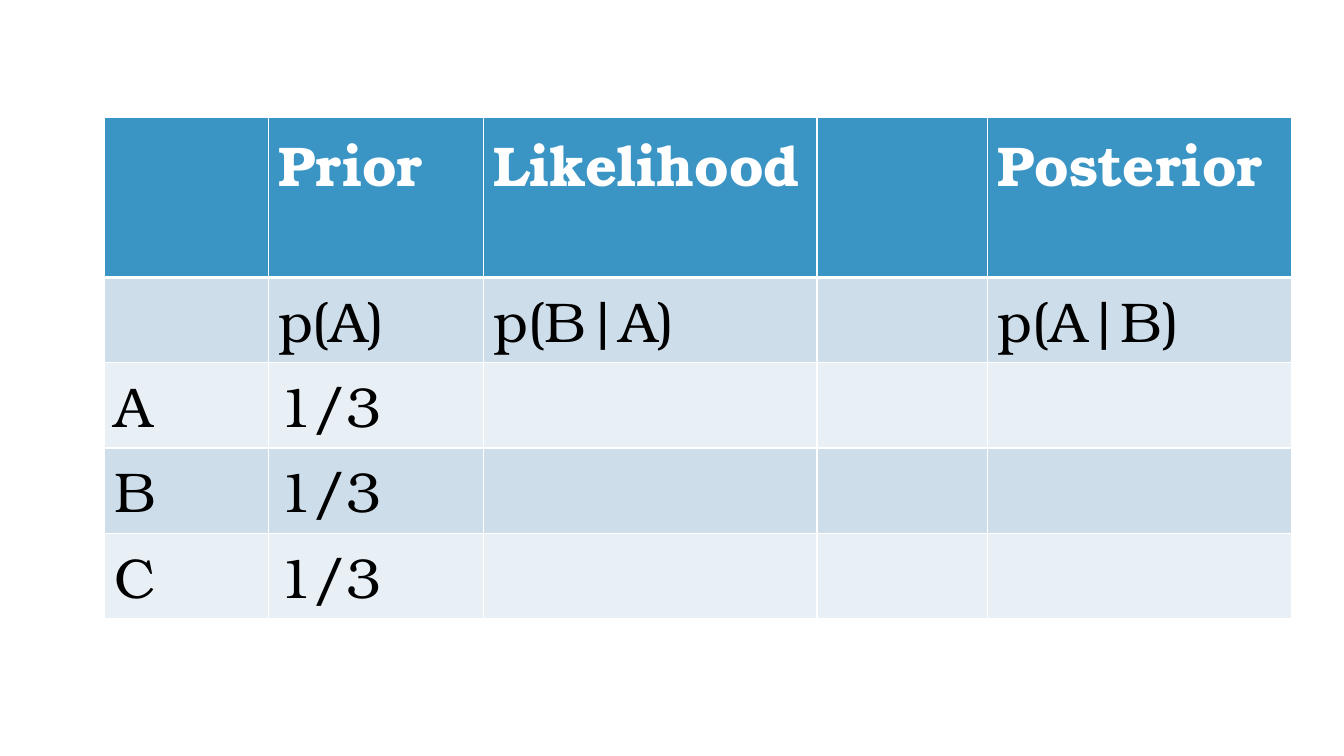
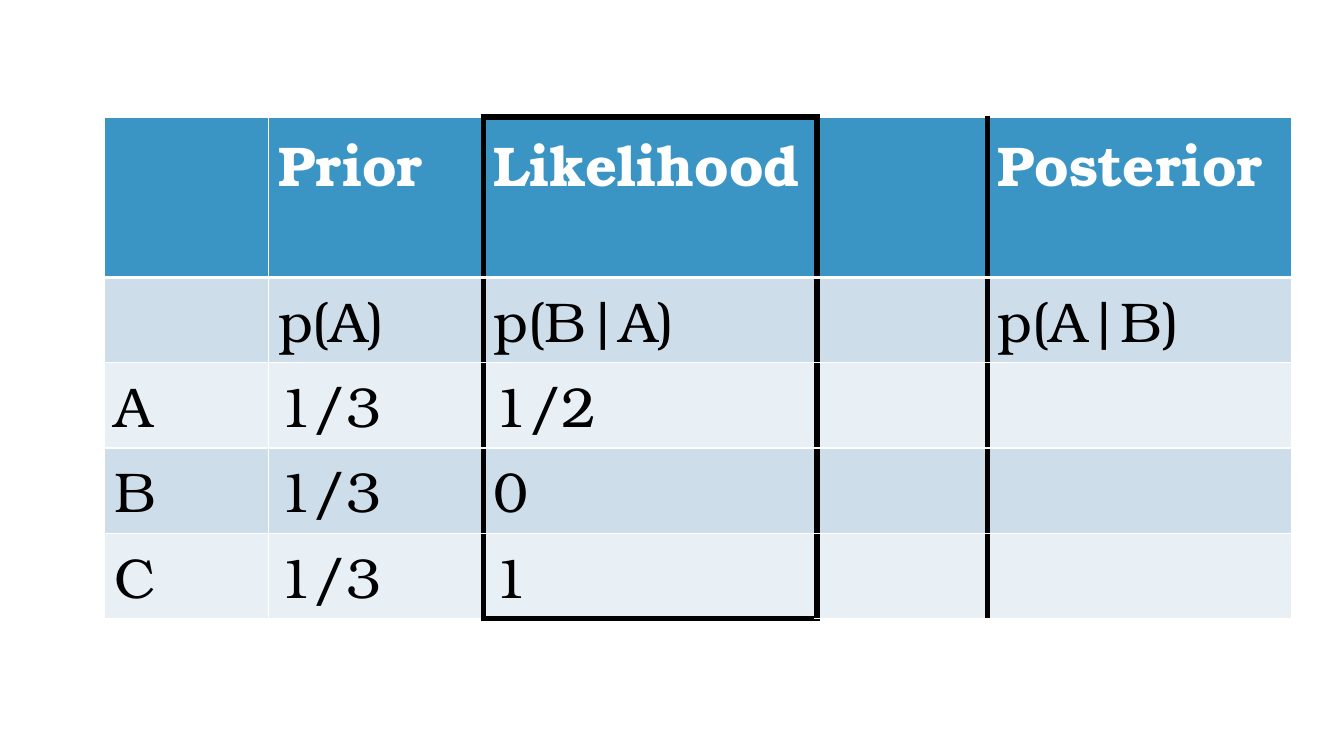
from dataclasses import dataclass

from lxml import etree
from pptx import Presentation
from pptx.dml.color import RGBColor
from pptx.oxml.ns import qn
from pptx.util import Cm, Pt

BLANK_LAYOUT = 6


@dataclass(frozen=True)
class Theme:
    font: str = "TeX Gyre Bonum"
    text_size: float = 40
    header: str = "3B95C4"
    dark_band: str = "CEDDEA"
    light_band: str = "E8EFF5"
    white: str = "FFFFFF"
    black: str = "000000"
    thin: float = 1
    header_rule: float = 3
    emphasis: float = 4.5


THEME = Theme()
COLUMN_WIDTHS = (4.14, 5.42, 8.41, 4.3, 7.67)
HEADER_HEIGHT = 4.04
ROW_HEIGHT = 2.15
TABLE_LEFT = 2.62
TABLE_TOP = 2.95
HEADINGS = ("", "Prior", "Likelihood", "", "Posterior")
FORMULAS = ("", "p(A)", "p(B|A)", "", "p(A|B)")
HYPOTHESES = ("A", "B", "C")
PRIOR = "1/3"
LIKELIHOODS = ("1/2", "0", "1")
LIKELIHOOD_COLUMN = 2
EMPHASIZED_EDGES = (2, 3, 4)


def write_text(cell, text, *, size=THEME.text_size, color=THEME.black, bold=False):
    run = cell.text_frame.paragraphs[0].add_run()
    run.text = text
    run.font.name = THEME.font
    run.font.size = Pt(size)
    run.font.bold = bold
    run.font.color.rgb = RGBColor.from_string(color)


def add_border(cell, side, color, width):
    properties = cell._tc.get_or_add_tcPr()
    line = etree.SubElement(properties, qn(f"a:ln{side}"), w=str(Pt(width)))
    fill = etree.SubElement(line, qn("a:solidFill"))
    etree.SubElement(fill, qn("a:srgbClr"), val=color)


def vertical_border(edge, emphasized):
    if emphasized and edge in EMPHASIZED_EDGES:
        return THEME.black, THEME.emphasis
    return THEME.white, THEME.thin


def horizontal_border(edge, column, last_edge, emphasized):
    if emphasized and column == LIKELIHOOD_COLUMN and edge in (0, last_edge):
        return THEME.black, THEME.emphasis
    return THEME.white, THEME.header_rule if edge == 1 else THEME.thin


def row_fill(row):
    if row == 0:
        return THEME.header
    return THEME.dark_band if row % 2 else THEME.light_band


def format_cell(cell, row, column, last_edge, emphasized):
    add_border(cell, "L", *vertical_border(column, emphasized))
    add_border(cell, "R", *vertical_border(column + 1, emphasized))
    add_border(cell, "T", *horizontal_border(row, column, last_edge, emphasized))
    add_border(cell, "B", *horizontal_border(row + 1, column, last_edge, emphasized))
    cell.fill.solid()
    cell.fill.fore_color.rgb = RGBColor.from_string(row_fill(row))


def add_bayes_table(slide, likelihoods, emphasized):
    entries = [HEADINGS, FORMULAS] + [
        (hypothesis, PRIOR, likelihood, "", "")
        for hypothesis, likelihood in zip(HYPOTHESES, likelihoods)
    ]
    heights = [HEADER_HEIGHT] + [ROW_HEIGHT] * (len(entries) - 1)
    table = slide.shapes.add_table(
        len(entries), len(COLUMN_WIDTHS), Cm(TABLE_LEFT), Cm(TABLE_TOP),
        Cm(sum(COLUMN_WIDTHS)), Cm(sum(heights)),
    ).table
    table.horz_banding = False
    for column, width in zip(table.columns, COLUMN_WIDTHS):
        column.width = Cm(width)
    for row, height in zip(table.rows, heights):
        row.height = Cm(height)
    for row, texts in enumerate(entries):
        for column, text in enumerate(texts):
            cell = table.cell(row, column)
            format_cell(cell, row, column, len(entries), emphasized)
            if text:
                color = THEME.white if row == 0 else THEME.black
                write_text(cell, text, color=color, bold=row == 0)


def main():
    deck = Presentation()
    deck.slide_width = Cm(33.87)
    deck.slide_height = Cm(19.05)
    for likelihoods, emphasized in ((("", "", ""), False), (LIKELIHOODS, True)):
        slide = deck.slides.add_slide(deck.slide_layouts[BLANK_LAYOUT])
        add_bayes_table(slide, likelihoods, emphasized)
    deck.save("out.pptx")


main()
